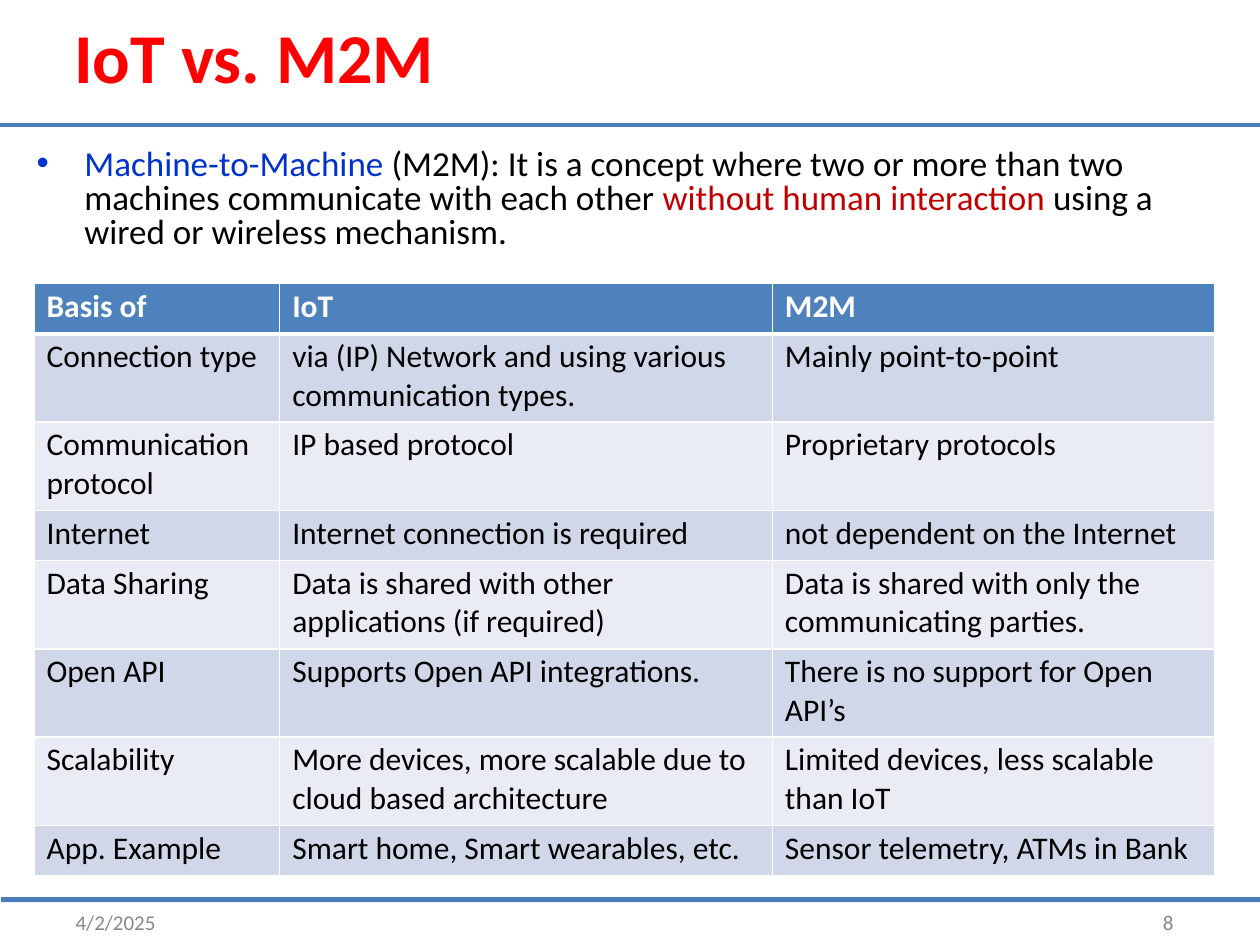
"""Build the IoT versus M2M slide."""
import dataclasses
import typing

import pptx
import pptx.dml.color
import pptx.enum.shapes
import pptx.enum.text
import pptx.oxml
import pptx.oxml.ns
import pptx.util

Inches = pptx.util.Inches
Pt = pptx.util.Pt


@dataclasses.dataclass(frozen=True)
class Theme:
    font: str = "Calibri"
    title: float = 40
    body: float = 20
    cell: float = 18
    foot: float = 12
    red: str = "FF0000"
    dark: str = "C00000"
    blue: str = "0033CC"
    rule: str = "497DBA"
    head: str = "4F81BC"
    bands: tuple[str, str] = ("D0D7E8", "E9ECF4")
    grey: str = "888888"
    black: str = "000000"
    white: str = "FFFFFF"


class Box(typing.NamedTuple):
    left: float
    top: float
    width: float
    height: float


class Run(typing.NamedTuple):
    text: str
    size: float
    color: str
    bold: bool = False


class Note(typing.NamedTuple):
    box: Box
    text: str


THEME = Theme()
RULE = Box(0, 0.99, 10, 0)
BAR = Box(0.01, 7.12, 9.99, 0.04)
TITLE = Box(0.59, 0.1, 7.71, 0.78)
BODY = Box(0.28, 1.11, 8.9, 0.9)
GRID = Box(0.27, 2.25, 9.37, 4.7)
NOTES = [
    Note(Box(0.6, 7.25, 0.8, 0.19), "4/2/2025"),
    Note(Box(9.23, 7.25, 0.23, 0.19), "8"),
]
POINT = [
    Run("Machine-to-Machine ", THEME.body, THEME.blue),
    Run("(M2M): It is a concept where two or more than two machines "
        "communicate with each other ", THEME.body, THEME.black),
    Run("without human interaction ", THEME.body, THEME.dark),
    Run("using a wired or wireless mechanism.", THEME.body, THEME.black),
]
COLS = (1.95, 3.91, 3.51)
ROWS = [
    (0.4, "Basis of", "IoT", "M2M"),
    (0.7, "Connection type",
     "via (IP) Network and using various\ncommunication types.",
     "Mainly point-to-point"),
    (0.7, "Communication protocol", "IP based protocol",
     "Proprietary protocols"),
    (0.4, "Internet", "Internet connection is required",
     "not dependent on the Internet"),
    (0.7, "Data Sharing",
     "Data is shared with other applications (if required)",
     "Data is shared with only the communicating parties."),
    (0.7, "Open API", "Supports Open API integrations.",
     "There is no support for Open API’s"),
    (0.7, "Scalability",
     "More devices, more scalable due to cloud based architecture",
     "Limited devices, less scalable than IoT"),
    (0.4, "App. Example", "Smart home, Smart wearables, etc.",
     "Sensor telemetry, ATMs in Bank"),
]


def apply(item: typing.Any, **form: typing.Any) -> None:
    for name, value in form.items():
        setattr(item, name, value)


def place(box: Box) -> list[int]:
    return [Inches(value) for value in box]


def tint(code: str) -> pptx.dml.color.RGBColor:
    return pptx.dml.color.RGBColor.from_string(code)


def write(para: typing.Any, runs: list[Run], **form: typing.Any) -> None:
    apply(para, **{"alignment": pptx.enum.text.PP_ALIGN.LEFT, **form})
    for run in runs:
        part = para.add_run()
        part.text = run.text
        apply(part.font, name=THEME.font, size=Pt(run.size), bold=run.bold)
        part.font.color.rgb = tint(run.color)


def set_frame(frame: typing.Any, top: float = 0) -> None:
    apply(frame, margin_left=0, margin_right=0, margin_bottom=0,
          margin_top=Inches(top), word_wrap=True,
          auto_size=pptx.enum.text.MSO_AUTO_SIZE.NONE,
          vertical_anchor=pptx.enum.text.MSO_ANCHOR.TOP)


def add_text(slide: typing.Any, box: Box, runs: list[Run], top: float = 0,
             **form: typing.Any) -> typing.Any:
    frame = slide.shapes.add_textbox(*place(box)).text_frame
    set_frame(frame, top)
    write(frame.paragraphs[0], runs, **form)
    return frame.paragraphs[0]


def add_rules(slide: typing.Any) -> None:
    left, top, width, high = place(RULE)
    line = slide.shapes.add_connector(
        pptx.enum.shapes.MSO_CONNECTOR.STRAIGHT,
        left, top, left + width, top + high)
    line.line.width = Pt(2.5)
    line.line.color.rgb = tint(THEME.rule)
    pptx.oxml.ns.qn("a:effectLst")
    line._element.spPr.append(pptx.oxml.parse_xml(
        f'<a:effectLst {pptx.oxml.ns.nsdecls("a")}/>'))
    bar = slide.shapes.add_shape(
        pptx.enum.shapes.MSO_SHAPE.RECTANGLE, *place(BAR))
    bar.shadow.inherit = False
    bar.fill.solid()
    bar.fill.fore_color.rgb = tint(THEME.rule)
    bar.line.fill.background()


def add_title(slide: typing.Any) -> None:
    title = slide.shapes.title
    apply(title, **dict(zip(Box._fields, place(TITLE))))
    set_frame(title.text_frame, 0.01)
    write(title.text_frame.paragraphs[0],
          [Run("IoT vs. M2M", THEME.title, THEME.red, True)],
          space_before=Pt(0.9))


def add_point(slide: typing.Any) -> None:
    para = add_text(slide, BODY, POINT, 0.08,
                    line_spacing=0.8, space_before=Pt(5.8))
    props = para._p.get_or_add_pPr()
    props.set("marL", str(Inches(0.39)))
    props.set("indent", str(-Inches(0.38)))
    names = pptx.oxml.ns.nsdecls("a")
    for mark in (f'<a:buFont {names} typeface="Arial"/>',
                 f'<a:buChar {names} char="•"/>'):
        props.append(pptx.oxml.parse_xml(mark))


def add_edge(cell: typing.Any, side: str, width: float) -> None:
    edge = pptx.oxml.parse_xml(
        f'<a:ln{side} {pptx.oxml.ns.nsdecls("a")} w="{Pt(width)}">'
        f'<a:solidFill><a:srgbClr val="{THEME.white}"/></a:solidFill>'
        f'</a:ln{side}>')
    cell._tc.get_or_add_tcPr().append(edge)


def fill_cell(cell: typing.Any, text: str, row: int) -> None:
    head = row == 0
    apply(cell, margin_left=Inches(0.1), margin_right=0,
          margin_top=Inches(0.03), margin_bottom=0)
    for side in "LRTB":
        thick = (row, side) in ((0, "B"), (1, "T"))
        add_edge(cell, side, 3 if thick else 1)
    cell.fill.solid()
    cell.fill.fore_color.rgb = tint(
        THEME.head if head else THEME.bands[(row - 1) % 2])
    frame = cell.text_frame
    color = THEME.white if head else THEME.black
    for index, line in enumerate(text.split("\n")):
        para = frame.add_paragraph() if index else frame.paragraphs[0]
        write(para, [Run(line, THEME.cell, color, head)],
              space_before=Pt(0 if index else 2.5))


def add_grid(slide: typing.Any) -> None:
    table = slide.shapes.add_table(
        len(ROWS), len(COLS), *place(GRID)).table
    for col, width in zip(table.columns, COLS):
        col.width = Inches(width)
    for row, (high, *texts) in enumerate(ROWS):
        table.rows[row].height = Inches(high)
        for col, text in enumerate(texts):
            fill_cell(table.cell(row, col), text, row)


def main() -> None:
    deck = pptx.Presentation()
    apply(deck, slide_width=Inches(10), slide_height=Inches(7.5))
    slide = deck.slides.add_slide(deck.slide_layouts[5])
    add_rules(slide)
    add_title(slide)
    for note in NOTES:
        add_text(slide, note.box, [Run(note.text, THEME.foot, THEME.grey)],
                 line_spacing=Pt(12.4))
    add_point(slide)
    add_grid(slide)
    deck.save("out.pptx")


if __name__ == "__main__":
    main()
